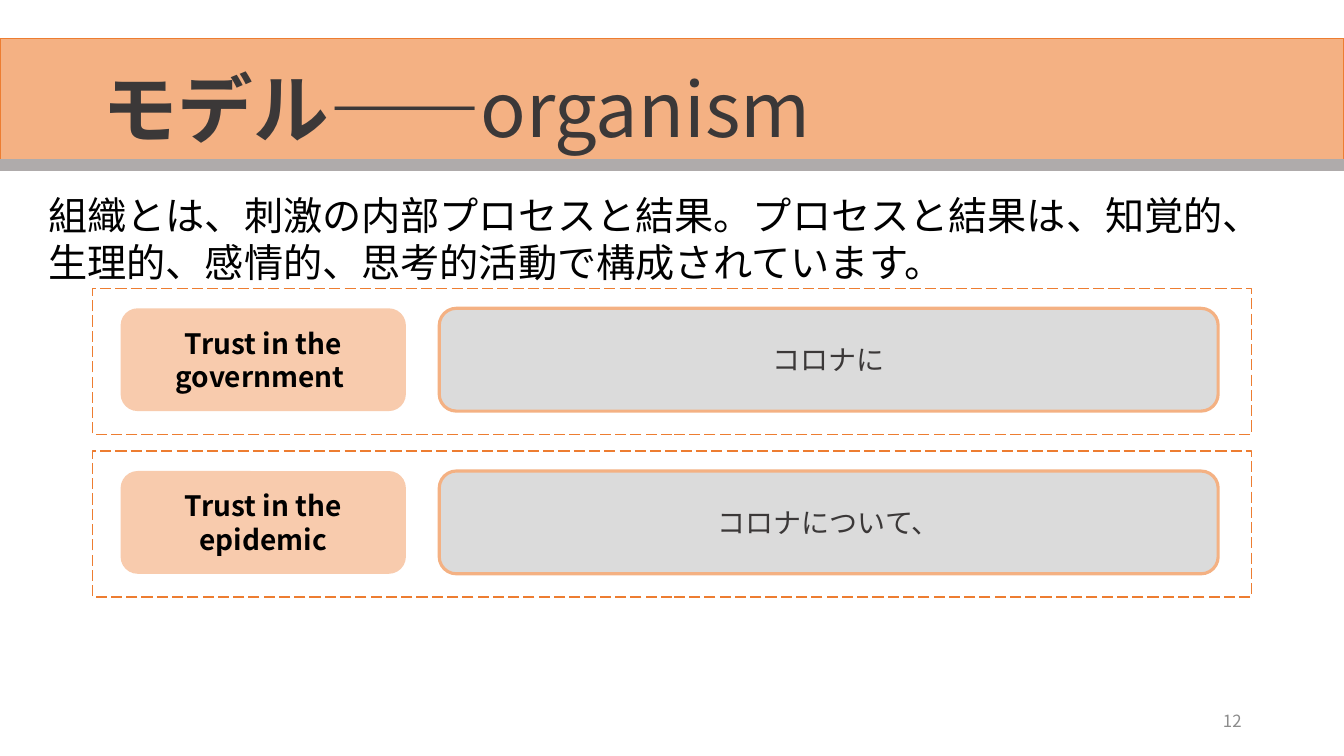
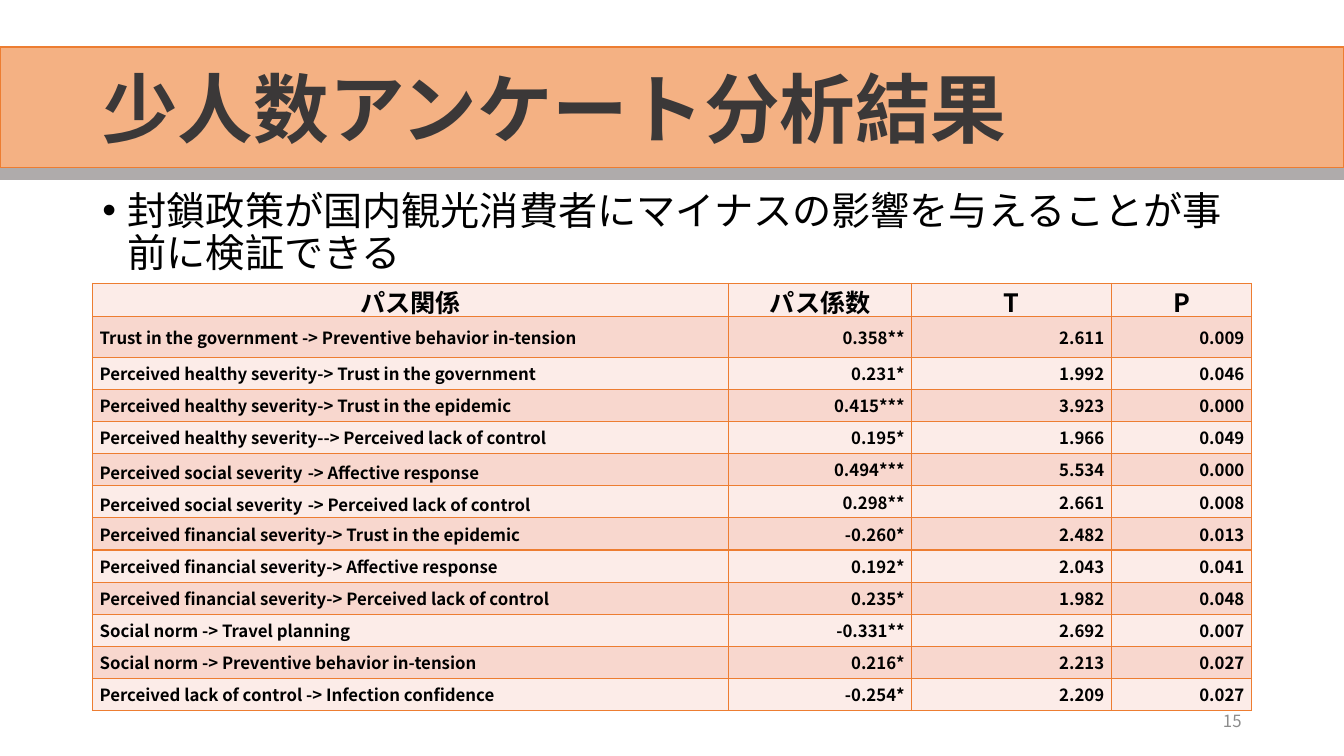
from lxml import etree
from pptx import Presentation
from pptx import util as u
from pptx.dml import color
from pptx.enum import dml, shapes, text
from pptx.oxml import ns

FONT = "Noto Sans CJK JP"
ORANGE, BAND, CHIP = "ED7D31", "F4B183", "F8CBAD"
STRIP, PANEL, DARK = "AFABAB", "DBDBDB", "3B3838"
BLACK, MUTED = "000000", "8C8C8C"
ROW_FILLS = ("FCECE8", "F8D7CE")
SLIDE_SIZE = (33.87, 19.05)
TITLE_BOX = (2.33, 1.01, 29.21, 3.68)
PAGE_BOX = (23.92, 17.66, 7.62, 1.01)
LEFT, CENTER, RIGHT = text.PP_ALIGN.LEFT, text.PP_ALIGN.CENTER, text.PP_ALIGN.RIGHT
MIDDLE, TOP = text.MSO_ANCHOR.MIDDLE, text.MSO_ANCHOR.TOP
RECTANGLE = shapes.MSO_SHAPE.RECTANGLE
ROUNDED = shapes.MSO_SHAPE.ROUNDED_RECTANGLE

FACTORS = [
    ("Trust in the government ", "コロナに"),
    ("Trust in the epidemic", "コロナについて、"),
]
COLUMN_WIDTHS = (16.03, 4.62, 5.03, 3.53)
HEADINGS = ("パス関係", "パス係数", "T", "P")
PATHS = [
    ("Trust in the government -> Preventive behavior in-tension", "0.358**", "2.611", "0.009"),
    ("Perceived healthy severity-> Trust in the government", "0.231*", "1.992", "0.046"),
    ("Perceived healthy severity-> Trust in the epidemic", "0.415***", "3.923", "0.000"),
    ("Perceived healthy severity--> Perceived lack of control", "0.195*", "1.966", "0.049"),
    ("Perceived social severity -> Affective response", "0.494***", "5.534", "0.000"),
    ("Perceived social severity -> Perceived lack of control", "0.298**", "2.661", "0.008"),
    ("Perceived financial severity-> Trust in the epidemic", "-0.260*", "2.482", "0.013"),
    ("Perceived financial severity-> Affective response", "0.192*", "2.043", "0.041"),
    ("Perceived financial severity-> Perceived lack of control", "0.235*", "1.982", "0.048"),
    ("Social norm -> Travel planning", "-0.331**", "2.692", "0.007"),
    ("Social norm -> Preventive behavior in-tension", "0.216*", "2.213", "0.027"),
    ("Perceived lack of control -> Infection confidence", "-0.254*", "2.209", "0.027"),
]


def rgb(value):
    """Turn a hex string into a colour."""
    return color.RGBColor.from_string(value)


def lengths(box):
    """Turn a box in centimetres into lengths."""
    return [u.Cm(value) for value in box]


def add_run(paragraph, words, size, hue=BLACK, bold=False):
    """Add one run in the deck font, for Latin and East Asian text."""
    run = paragraph.add_run()
    run.text = words
    run.font.name = FONT
    run.font.size = u.Pt(size)
    run.font.bold = bold
    run.font.color.rgb = rgb(hue)
    latin = run.font._element.find(ns.qn("a:latin"))
    east_asian = etree.Element(ns.qn("a:ea"), typeface=FONT)
    latin.addnext(east_asian)


def add_box_text(slide, box, align=LEFT, anchor=MIDDLE):
    """Add a wrapping text box and return its paragraph."""
    frame = slide.shapes.add_textbox(*lengths(box)).text_frame
    frame.word_wrap = True
    frame.vertical_anchor = anchor
    paragraph = frame.paragraphs[0]
    paragraph.alignment = align
    return paragraph


def add_panel(group, kind, box, fill=None, line=None, width=1):
    """Add a flat shape with an optional fill and outline."""
    shape = group.shapes.add_shape(kind, *lengths(box))
    shape.shadow.inherit = False
    if fill:
        shape.fill.solid()
        shape.fill.fore_color.rgb = rgb(fill)
    else:
        shape.fill.background()
    if line:
        shape.line.color.rgb = rgb(line)
        shape.line.width = u.Pt(width)
    else:
        shape.line.fill.background()
    return shape


def label_panel(shape, words, hue=BLACK, bold=False):
    """Centre a label inside a shape."""
    shape.text_frame.word_wrap = True
    shape.text_frame.vertical_anchor = MIDDLE
    paragraph = shape.text_frame.paragraphs[0]
    paragraph.alignment = CENTER
    add_run(paragraph, words, 20, hue, bold)


def add_header(slide, top, title_runs):
    """Draw the title band with its strip and the title over it."""
    group = slide.shapes.add_group_shape()
    width, height = SLIDE_SIZE[0], 3.05
    add_panel(group, RECTANGLE, (0, top, width, height), BAND, ORANGE)
    add_panel(group, RECTANGLE, (0, top + height, width, 0.28), STRIP, STRIP)
    paragraph = add_box_text(slide, TITLE_BOX)
    paragraph.line_spacing = 0.9
    for words, bold in title_runs:
        add_run(paragraph, words, 54, DARK, bold)


def add_page_number(slide, number):
    """Write the page number at the lower right."""
    add_run(add_box_text(slide, PAGE_BOX, RIGHT), number, 12, MUTED)


def add_factor(slide, box, name, detail):
    """Draw a dashed frame holding a factor name and its detail."""
    left, top, width, height = box
    group = slide.shapes.add_group_shape()
    inner_top, inner_height = top + 0.5, 2.59
    chip = add_panel(group, ROUNDED, (left + 0.71, inner_top, 7.19, inner_height), CHIP)
    label_panel(chip, name, bold=True)
    frame = add_panel(group, RECTANGLE, box, line=ORANGE)
    frame.line.dash_style = dml.MSO_LINE.LONG_DASH
    detail_box = (left + 8.74, inner_top, width - 9.58, inner_height)
    label_panel(add_panel(group, ROUNDED, detail_box, PANEL, BAND, 2.25), detail, DARK)


def add_bullet(slide, box, words):
    """Write one bulleted statement."""
    paragraph = add_box_text(slide, box, anchor=TOP)
    paragraph.line_spacing = 0.9
    paragraph.space_before = u.Pt(10)
    add_run(paragraph, words, 28)
    properties = paragraph._p.get_or_add_pPr()
    properties.set("marL", str(u.Cm(0.64)))
    properties.set("indent", str(-u.Cm(0.64)))
    etree.SubElement(properties, ns.qn("a:buFont"), typeface="Arial")
    etree.SubElement(properties, ns.qn("a:buChar"), char="•")


def add_borders(cell):
    """Outline a cell on all four sides."""
    properties = cell._tc.get_or_add_tcPr()
    for position, side in enumerate(("lnL", "lnR", "lnT", "lnB")):
        line = etree.Element(ns.qn("a:" + side), w=str(u.Pt(1)))
        fill = etree.SubElement(line, ns.qn("a:solidFill"))
        etree.SubElement(fill, ns.qn("a:srgbClr"), val=ORANGE)
        properties.insert(position, line)


def fill_cell(cell, words, size, align, fill):
    """Style a table cell and write its text."""
    cell.fill.solid()
    cell.fill.fore_color.rgb = rgb(fill)
    cell.vertical_anchor = MIDDLE
    cell.margin_left = cell.margin_right = u.Cm(0.18)
    cell.margin_top = cell.margin_bottom = 0
    add_borders(cell)
    paragraph = cell.text_frame.paragraphs[0]
    paragraph.alignment = align
    before, social, after = words.partition("Perceived social severity ")
    if social:
        add_run(paragraph, social.strip(), size, bold=True)
        add_run(paragraph, " ", 16, bold=True)
        add_run(paragraph, after, size, bold=True)
    else:
        add_run(paragraph, before, size, bold=True)


def add_path_table(slide, box):
    """Build the table of path coefficients."""
    rows = [HEADINGS] + PATHS
    table = slide.shapes.add_table(len(rows), len(HEADINGS), *lengths(box)).table
    for column, width in zip(table.columns, COLUMN_WIDTHS):
        column.width = u.Cm(width)
    row_heights = [0.84, 1.02] + [0.81] * (len(rows) - 2)
    for row_index, (values, height) in enumerate(zip(rows, row_heights)):
        table.rows[row_index].height = u.Cm(height)
        for column_index, words in enumerate(values):
            if row_index == 0:
                size, align = 18, CENTER
            else:
                size, align = 12, RIGHT if column_index else LEFT
            cell = table.cell(row_index, column_index)
            fill_cell(cell, words, size, align, ROW_FILLS[row_index % 2])


def build_model_slide(slide):
    """Explain the organism part of the model."""
    add_header(slide, 0.97, [("モデル——", True), ("organism", False)])
    paragraph = add_box_text(slide, (0.97, 4.7, 31.9, 2.64), anchor=TOP)
    add_run(paragraph, "組織とは、刺激の内部プロセスと結果。プロセスと結果は、知覚的、"
                       "生理的、感情的、思考的活動で構成されています。", 28)
    add_page_number(slide, "12")
    for index, (name, detail) in enumerate(FACTORS):
        add_factor(slide, (2.33, 7.27 + index * 4.1, 29.21, 3.68), name, detail)


def build_result_slide(slide):
    """Report the results of the small survey."""
    add_bullet(slide, (2.33, 4.7, 29.21, 2.59),
               "封鎖政策が国内観光消費者にマイナスの影響を与えることが事前に検証できる")
    add_header(slide, 1.19, [("少人数アンケート分析結果", True)])
    add_page_number(slide, "15")
    add_path_table(slide, (2.33, 7.14, 29.21, 10.8))


def main():
    """Build and save the presentation."""
    presentation = Presentation()
    presentation.slide_width, presentation.slide_height = lengths(SLIDE_SIZE)
    for build in (build_model_slide, build_result_slide):
        build(presentation.slides.add_slide(presentation.slide_layouts[6]))
    presentation.save("out.pptx")


if __name__ == "__main__":
    main()
